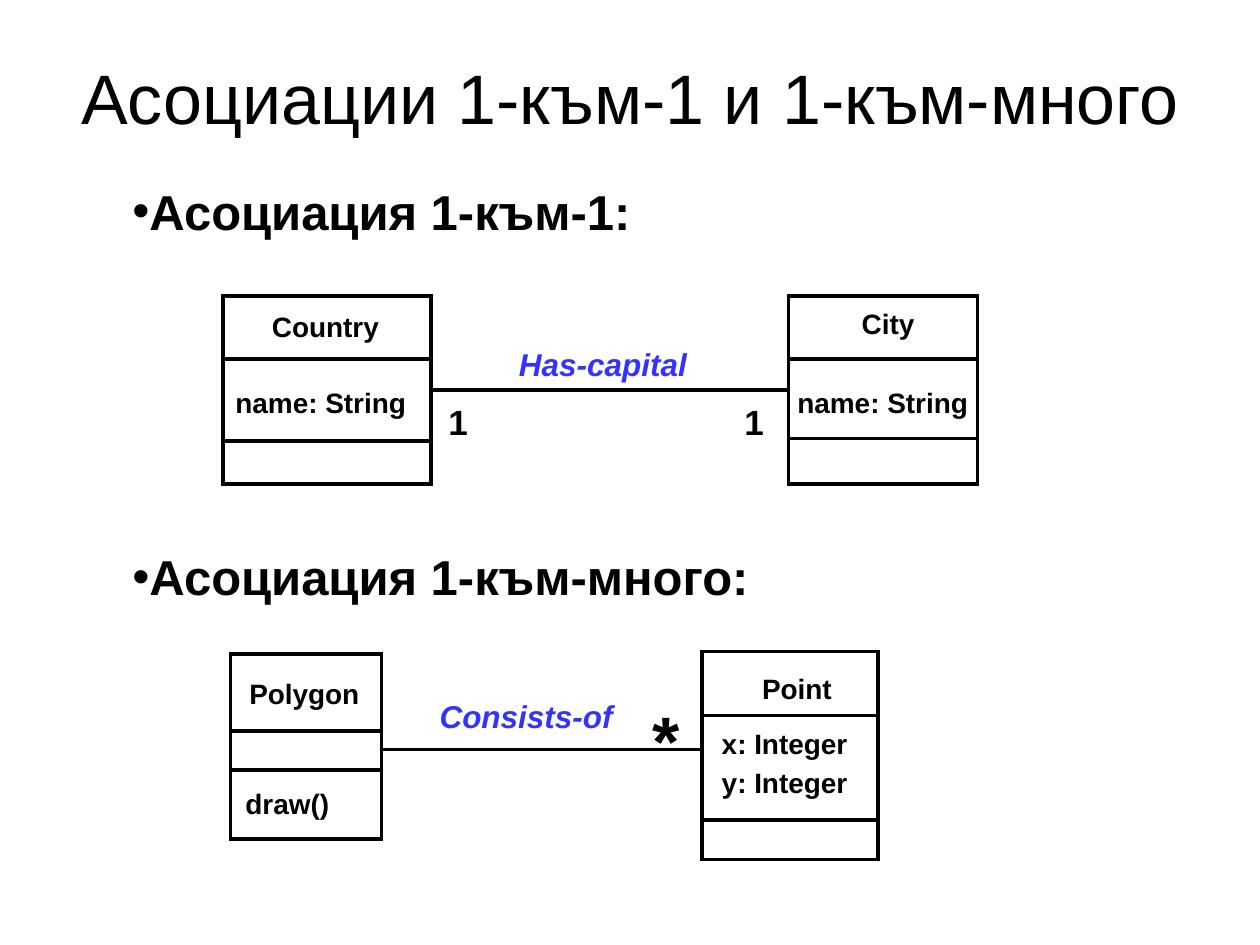
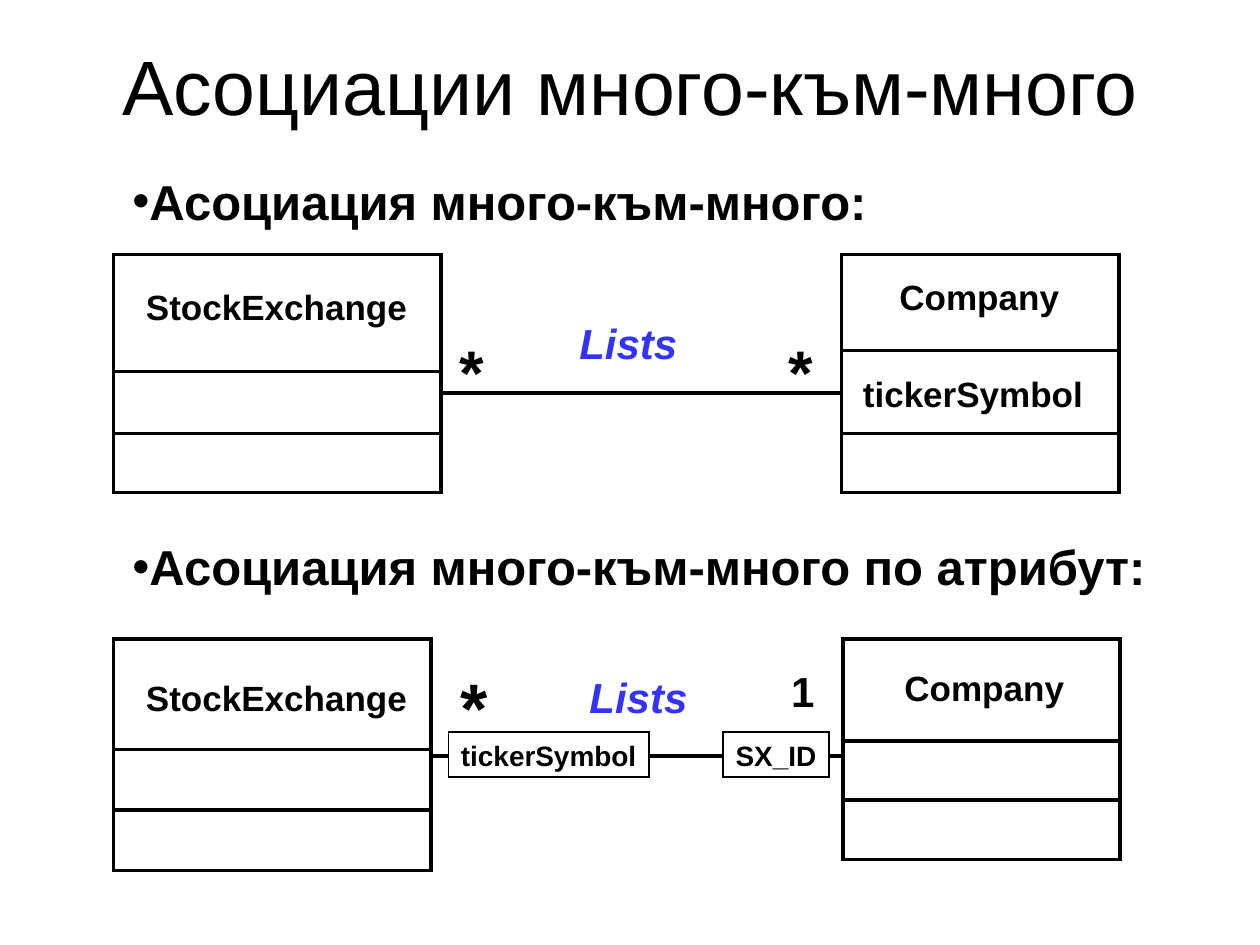
from dataclasses import dataclass

from lxml.etree import SubElement
from pptx import Presentation
from pptx.dml.color import RGBColor
from pptx.enum.shapes import MSO_CONNECTOR, MSO_SHAPE
from pptx.enum.text import MSO_ANCHOR, MSO_AUTO_SIZE, PP_ALIGN
from pptx.oxml.ns import qn
from pptx.util import Inches, Pt

TWO_CONTENT_LAYOUT = 3
LEFT_SIDE, RIGHT_SIDE = 1, 3


@dataclass(frozen=True)
class Theme:
    font: str = "Arial"
    ink: RGBColor = RGBColor(0x00, 0x00, 0x00)
    accent: RGBColor = RGBColor(0x33, 0x33, 0xFF)
    paper: RGBColor = RGBColor(0xFF, 0xFF, 0xFF)
    heading: int = 28
    large: int = 20
    small: int = 16
    line: int = 2
    thin_line: int = 1


class DiagramBuilder:
    """Holds the theme and the slide being drawn."""

    def __init__(self, presentation, theme):
        self.presentation = presentation
        self.theme = theme
        self.slide = None

    def start_slide(self):
        layout = self.presentation.slide_layouts[TWO_CONTENT_LAYOUT]
        self.slide = self.presentation.slides.add_slide(layout)

    def place(self, shape, left, top, width, height):
        shape.left, shape.top = Inches(left), Inches(top)
        shape.width, shape.height = Inches(width), Inches(height)

    def format_paragraph(self, paragraph, size, color=None, bold=True, italic=False):
        font = paragraph.font
        font.name, font.size = self.theme.font, Pt(size)
        font.bold, font.italic = bold, italic
        font.color.rgb = color or self.theme.ink

    def title(self, text, left, top, width, size):
        shape = self.slide.shapes.title
        self.place(shape, left, top, width, 0.93)
        shape.text_frame.text = text
        paragraph = shape.text_frame.paragraphs[0]
        self.format_paragraph(paragraph, size, bold=False)
        paragraph.alignment = PP_ALIGN.CENTER
        shape.text_frame.vertical_anchor = MSO_ANCHOR.MIDDLE
        shape.text_frame.auto_size = MSO_AUTO_SIZE.NONE

    def headings(self, *items):
        """Fill the body placeholders with (text, top) bullets."""
        for index, (text, top) in enumerate(items, start=1):
            shape = self.slide.placeholders[index]
            self.place(shape, 0.43, top, 9.14, 0.56)
            shape.text_frame.auto_size = MSO_AUTO_SIZE.NONE
            shape.text_frame.text = text
            paragraph = shape.text_frame.paragraphs[0]
            paragraph.space_before = Pt(0)
            properties = paragraph._p.get_or_add_pPr()
            properties.set("marL", str(Inches(0.52)))
            properties.set("indent", "0")
            SubElement(properties, qn("a:buChar")).set("char", "•")
            self.format_paragraph(paragraph, self.theme.heading)

    def rectangle(self, left, top, width, height, line_width):
        shape = self.slide.shapes.add_shape(
            MSO_SHAPE.RECTANGLE, Inches(left), Inches(top), Inches(width), Inches(height))
        shape.shadow.inherit = False
        shape.line.color.rgb, shape.line.width = self.theme.ink, Pt(line_width)
        # Square corners
        outline = shape._element.spPr.get_or_add_ln()
        SubElement(outline, qn("a:miter")).set("lim", "800000")
        return shape

    def line(self, start_x, start_y, end_x, end_y):
        connector = self.slide.shapes.add_connector(
            MSO_CONNECTOR.STRAIGHT, start_x, start_y, end_x, end_y)
        connector.line.color.rgb = self.theme.ink
        connector.line.width = Pt(self.theme.line)
        SubElement(connector._element.spPr, qn("a:effectLst"))
        return connector

    def class_box(self, left, top, width, height, dividers):
        box = self.rectangle(left, top, width, height, self.theme.line)
        box.fill.background()
        for divider in dividers:
            self.line(box.left, Inches(divider), box.left + box.width, Inches(divider))
        return box

    def association(self, source, target, y):
        """Link two boxes at height y, joining where y is a side's middle."""
        connector = self.line(source.left + source.width, Inches(y), target.left, Inches(y))
        ends = ((source, RIGHT_SIDE, connector.begin_connect),
                (target, LEFT_SIDE, connector.end_connect))
        for box, side, connect in ends:
            if abs(box.top + box.height // 2 - Inches(y)) < Inches(0.01):
                connect(box, side)

    def label(self, text, left, top, width, size, color=None, italic=False):
        """Left-aligned text; the width leaves room so that one line fits."""
        height = size * 1.2 / 72 + 0.1
        shape = self.slide.shapes.add_textbox(
            Inches(left), Inches(top), Inches(width), Inches(height))
        shape.text_frame.word_wrap = True
        shape.text_frame.text = text
        self.format_paragraph(shape.text_frame.paragraphs[0], size, color, italic=italic)

    def role(self, text, left, top, width, size):
        self.label(text, left, top, width, size, self.theme.accent, italic=True)

    def qualifier(self, text, left, width):
        shape = self.rectangle(left, 5.81, width, 0.36, self.theme.thin_line)
        shape.fill.solid()
        shape.fill.fore_color.rgb = self.theme.paper
        shape.text_frame.word_wrap = False
        shape.text_frame.vertical_anchor = MSO_ANCHOR.TOP
        shape.text_frame.text = text
        paragraph = shape.text_frame.paragraphs[0]
        self.format_paragraph(paragraph, self.theme.small)
        paragraph.alignment = PP_ALIGN.LEFT


def build_one_to_one_and_many(builder):
    small, large = builder.theme.small, builder.theme.large
    builder.start_slide()
    builder.title("Асоциации 1-към-1 и 1-към-много", 0.5, 0.3, 9, 40)
    builder.headings(("Асоциация 1-към-1:", 1.39), ("Асоциация 1-към-много:", 4.29))

    # One-to-one: Country and City
    country = builder.class_box(1.77, 2.35, 1.65, 1.49, (2.85, 3.5))
    city = builder.class_box(6.26, 2.35, 1.5, 1.49, (2.85, 3.48))
    builder.association(country, city, 3.1)
    builder.label("Country", 2.06, 2.41, 1.15, small)
    builder.label("City", 6.74, 2.38, 0.72, small)
    for left in (1.77, 6.23):
        builder.label("name: String", left, 3.01, 1.65, small)
    builder.role("Has-capital", 4.02, 2.69, 1.61, 18)
    for left in (3.46, 5.81):
        builder.label("1", left, 3.13, 0.4, large)

    # One-to-many: Polygon and Point
    polygon = builder.class_box(1.83, 5.19, 1.2, 1.47, (5.8, 6.11))
    point = builder.class_box(5.57, 5.17, 1.4, 1.65, (5.68, 6.51))
    builder.association(polygon, point, 5.95)
    builder.label("Polygon", 1.88, 5.32, 1.15, small)
    builder.label("draw()", 1.85, 6.19, 0.96, small)
    builder.label("Point", 5.95, 5.28, 0.85, small)
    for text, top in (("x: Integer", 5.72), ("y: Integer", 6.03)):
        builder.label(text, 5.63, top, 1.3, small)
    builder.label("*", 5.08, 5.48, 0.45, 40)
    builder.role("Consists-of", 3.39, 5.48, 1.65, 18)


def build_many_to_many(builder):
    large = builder.theme.large
    builder.start_slide()
    builder.title("Асоциации много-към-много", 0.2, 0.21, 9.61, 44)
    builder.headings(("Асоциация много-към-много:", 1.31),
                     ("Асоциация много-към-много по атрибут:", 4.21))

    # Plain many-to-many
    exchange = builder.class_box(0.9, 2.02, 2.6, 1.89, (2.95, 3.44))
    company = builder.class_box(6.68, 2.02, 2.2, 1.89, (2.78, 3.44))
    builder.association(exchange, company, 3.12)
    builder.label("Company", 7.04, 2.14, 1.57, large)
    builder.label("tickerSymbol", 6.75, 2.91, 2.05, large)
    builder.role("Lists", 4.5, 2.47, 1.07, 24)
    for left in (3.55, 6.16):
        builder.label("*", left, 2.59, 0.45, 36)

    # Many-to-many qualified by attributes
    exchange = builder.class_box(0.9, 5.07, 2.52, 1.84, (5.95, 6.43))
    company = builder.class_box(6.69, 5.07, 2.2, 1.75, (5.88, 6.35))
    builder.association(exchange, company, 6)
    builder.label("Company", 7.08, 5.24, 1.57, large)
    builder.role("Lists", 4.58, 5.28, 1.07, 24)
    builder.label("1", 6.18, 5.23, 0.45, 24)
    builder.label("*", 3.56, 5.22, 0.45, 40)
    builder.qualifier("tickerSymbol", 3.56, 1.59)
    builder.qualifier("SX_ID", 5.74, 0.84)

    # Name shared by both left-hand classes
    for top in (2.22, 5.32):
        builder.label("StockExchange", 1.06, top, 2.35, large)


def main():
    presentation = Presentation()
    presentation.slide_width, presentation.slide_height = Inches(10), Inches(7.5)
    builder = DiagramBuilder(presentation, Theme())
    build_one_to_one_and_many(builder)
    build_many_to_many(builder)
    presentation.save("out.pptx")


if __name__ == "__main__":
    main()
